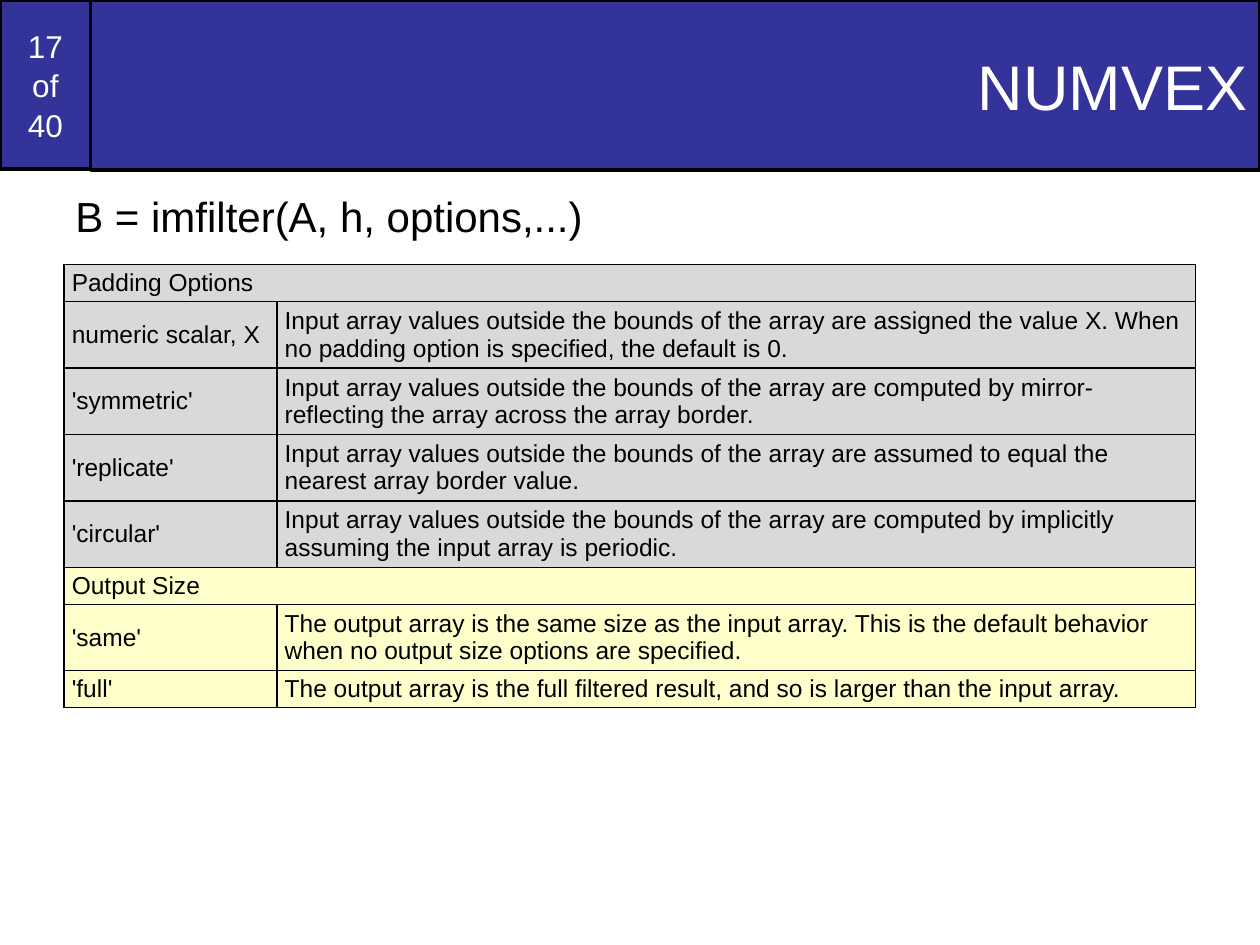
import dataclasses
import typing

import lxml.etree
import pptx
import pptx.dml.color
import pptx.enum.shapes
import pptx.enum.text
import pptx.oxml.ns
import pptx.util

Inches = pptx.util.Inches
Pt = pptx.util.Pt
Align = pptx.enum.text.PP_ALIGN
Anchor = pptx.enum.text.MSO_ANCHOR

BLUE, BLACK, WHITE = "333399", "000000", "FFFFFF"
ONE, TWO = 0.28, 0.49


@dataclasses.dataclass
class Row:
    name: str
    note: str = ""
    high: float = TWO


@dataclasses.dataclass
class Group:
    fill: str
    rows: list[Row]


GROUPS = [
    Group("D9D9D9", [
        Row("Padding Options", high=ONE),
        Row("numeric scalar, X", "Input array values outside the bounds of the array are assigned "
            "the value X. When no padding option is specified, the default is 0."),
        Row("'symmetric'", "Input array values outside the bounds of the array are computed by "
            "mirror-reflecting the array across the array border."),
        Row("'replicate'", "Input array values outside the bounds of the array are assumed to "
            "equal the nearest array border value."),
        Row("'circular'", "Input array values outside the bounds of the array are computed by "
            "implicitly assuming the input array is periodic."),
    ]),
    Group("FFFFCC", [
        Row("Output Size", high=ONE),
        Row("'same'", "The output array is the same size as the input array. This is the default "
            "behavior when no output size options are specified."),
        Row("'full'", "The output array is the full filtered result, and so is larger than the "
            "input array.", ONE),
    ]),
]


def apply(item: typing.Any, form: dict[str, typing.Any]) -> None:
    for key, val in form.items():
        setattr(item, key, val)


def color(item: typing.Any, tint: str) -> None:
    item.rgb = pptx.dml.color.RGBColor.from_string(tint)


def paint(item: typing.Any, tint: str) -> None:
    item.fill.solid()
    color(item.fill.fore_color, tint)


def write(frame: typing.Any, text: str, size: float, tint: str, **form: typing.Any) -> None:
    para = frame.paragraphs[0]
    para.text = text
    apply(para, form)
    for run in para.runs:
        apply(run.font, {"name": "Arial", "size": Pt(size)})
        color(run.font.color, tint)


def place(shape: typing.Any, left: float, top: float, width: float, high: float) -> None:
    apply(shape, {"left": Inches(left), "top": Inches(top),
                  "width": Inches(width), "height": Inches(high)})


def panel(shape: typing.Any, text: str, size: float, **form: typing.Any) -> None:
    paint(shape, BLUE)
    color(shape.line.color, BLACK)
    shape.line.width = Pt(2)
    apply(shape.text_frame, {"word_wrap": True, "vertical_anchor": Anchor.MIDDLE})
    write(shape.text_frame, text, size, WHITE, **form)


def border(cell: typing.Any) -> None:
    props = cell._tc.get_or_add_tcPr()
    name = pptx.oxml.ns.qn
    for spot, side in enumerate(("a:lnL", "a:lnR", "a:lnT", "a:lnB")):
        edge = lxml.etree.Element(name(side), w=str(Pt(1)))
        fill = lxml.etree.SubElement(edge, name("a:solidFill"))
        lxml.etree.SubElement(fill, name("a:srgbClr"), val=BLACK)
        props.insert(spot, edge)


def grid(slide: typing.Any, groups: list[Group]) -> None:
    rows = [(row, group.fill) for group in groups for row in group.rows]
    high = sum(row.high for row, _ in rows)
    table = slide.shapes.add_table(len(rows), 2, Inches(0.51), Inches(2.1),
                                   Inches(8.98), Inches(high)).table
    apply(table, {"first_row": False, "horz_banding": False})
    for col, width in zip(table.columns, (1.69, 7.29)):
        col.width = Inches(width)
    form = {"margin_left": Inches(0.06), "margin_right": Inches(0.06),
            "margin_top": Inches(0.03), "margin_bottom": Inches(0.03),
            "vertical_anchor": Anchor.MIDDLE}
    for spot, (row, fill) in enumerate(rows):
        table.rows[spot].height = Inches(row.high)
        for col, text in enumerate((row.name, row.note)):
            cell = table.cell(spot, col)
            apply(cell, form)
            paint(cell, fill)
            border(cell)
            write(cell.text_frame, text, 14, BLACK)
        if not row.note:
            table.cell(spot, 0).merge(table.cell(spot, 1))


def main() -> None:
    deck = pptx.Presentation()
    apply(deck, {"slide_width": Inches(10), "slide_height": Inches(7.5)})
    slide = deck.slides.add_slide(deck.slide_layouts[5])

    title = slide.shapes.title
    place(title, 0.72, 0, 9.28, 1.35)
    panel(title, "NUMVEX", 36, alignment=Align.RIGHT)

    count = slide.shapes.add_shape(pptx.enum.shapes.MSO_SHAPE.RECTANGLE,
                                   0, 0, Inches(0.72), Inches(1.34))
    count.shadow.inherit = False
    panel(count, "17\vof\v40", 18, alignment=Align.CENTER, line_spacing=1.05)

    code = slide.shapes.add_textbox(Inches(0.5), Inches(1.46), Inches(9), Inches(6.04))
    code.text_frame.word_wrap = True
    write(code.text_frame, "B = imfilter(A, h, options,...)", 24, BLACK, space_before=Pt(3))

    grid(slide, GROUPS)
    deck.save("out.pptx")


if __name__ == "__main__":
    main()
